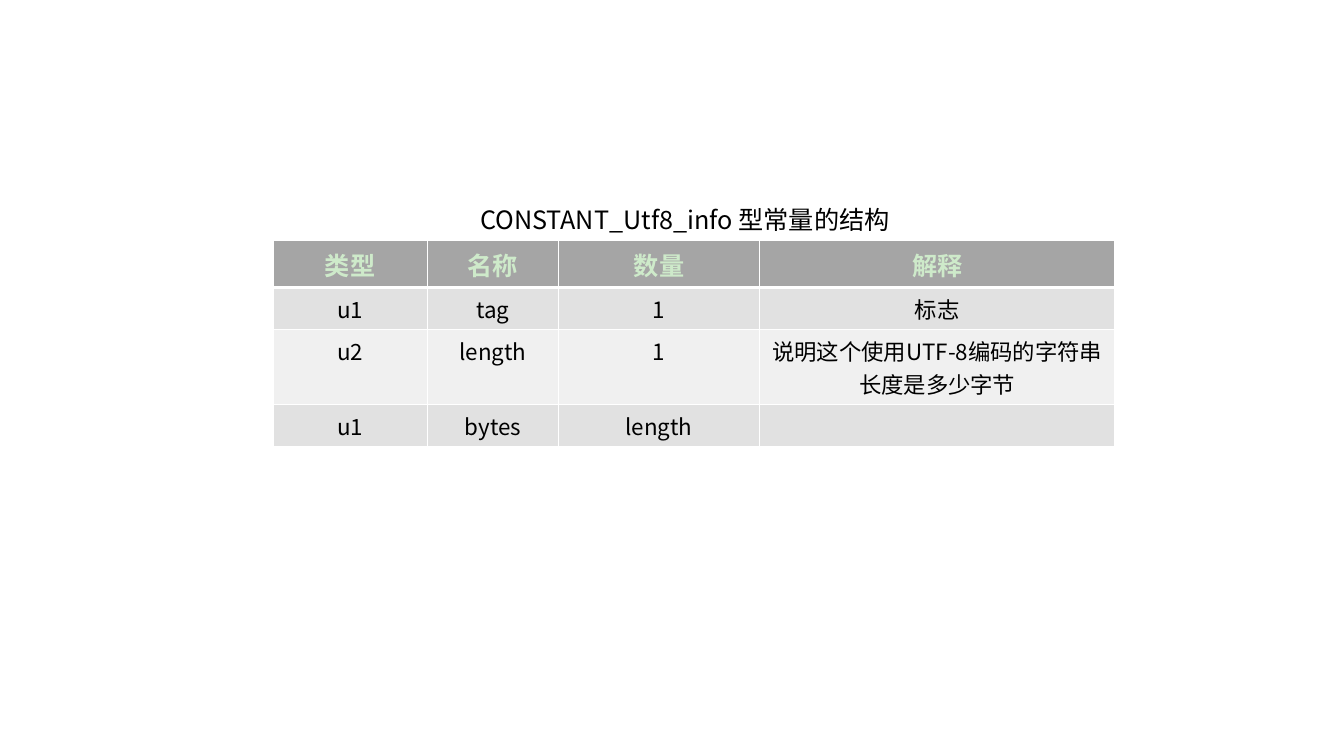
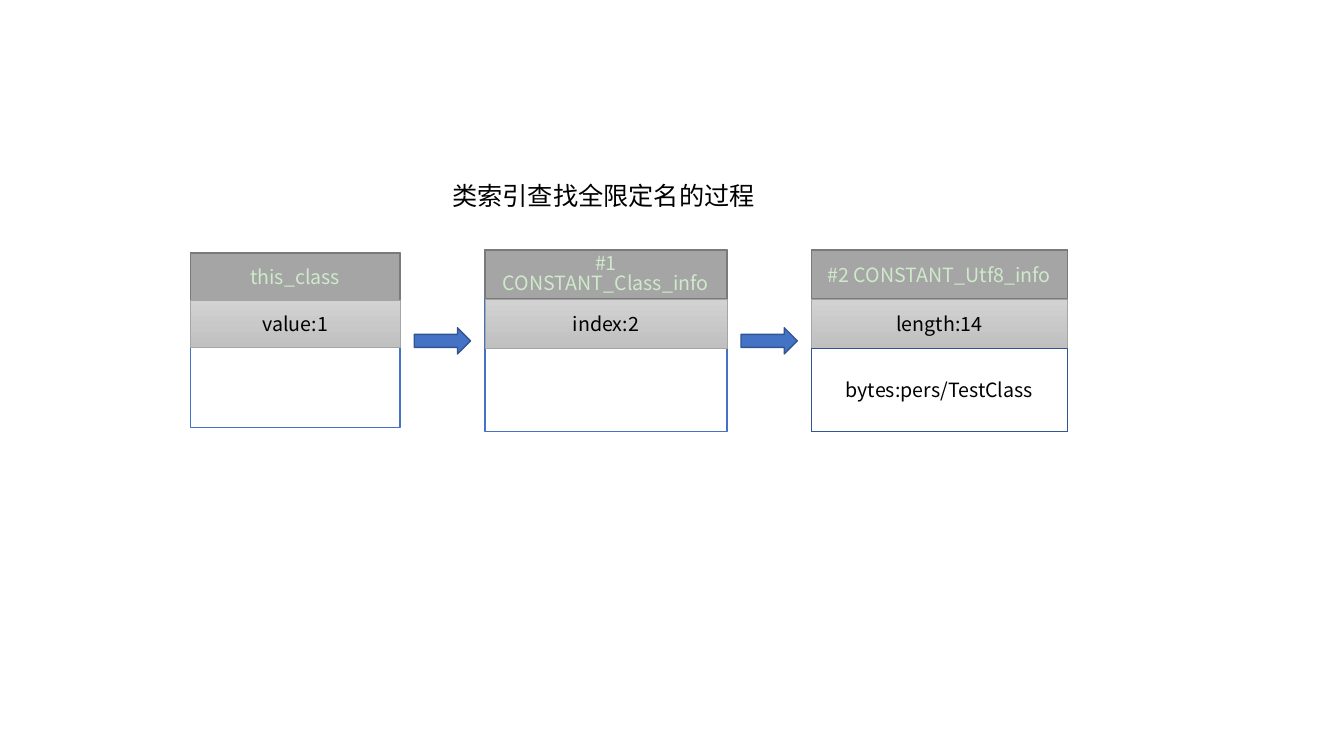
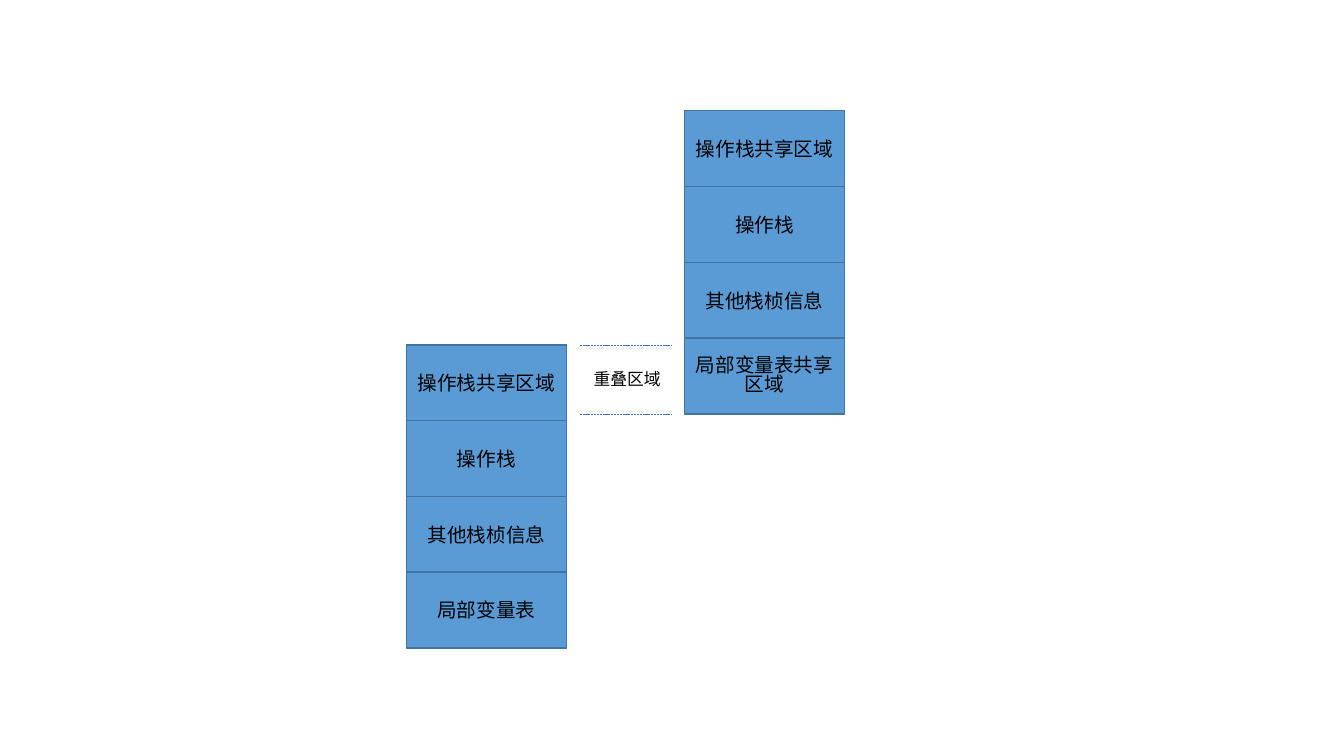
from dataclasses import dataclass

from lxml import etree
from pptx import Presentation
from pptx.dml.color import RGBColor
from pptx.enum.dml import MSO_LINE
from pptx.enum.shapes import MSO_CONNECTOR, MSO_SHAPE
from pptx.enum.text import MSO_ANCHOR, PP_ALIGN
from pptx.oxml.ns import qn
from pptx.util import Cm, Pt

RECTANGLE, RIGHT_ARROW = MSO_SHAPE.RECTANGLE, MSO_SHAPE.RIGHT_ARROW
STRAIGHT, DASH = MSO_CONNECTOR.STRAIGHT, MSO_LINE.SQUARE_DOT
LEFT, CENTER = PP_ALIGN.LEFT, PP_ALIGN.CENTER
MIDDLE = MSO_ANCHOR.MIDDLE
BLANK_LAYOUT = 6


@dataclass(frozen=True)
class Theme:
    font: str = "Noto Sans CJK SC"
    text: str = "000000"
    pale_green: str = "CEEACA"
    border: str = "FFFFFF"
    gray: str = "A5A5A5"
    dark_gray: str = "7A7A7A"
    gradient: tuple = ("D2D2D2", "C0C0C0")
    bands: tuple = ("E1E1E1", "F0F0F0")
    blue: str = "4472C4"
    dark_blue: str = "325491"
    frame_fill: str = "5B9BD5"
    frame_line: str = "43739E"
    title_size: int = 18
    cell_size: int = 16
    box_size: int = 14
    note_size: int = 12
    tight_spacing: float = 0.83


THEME = Theme()


def color(value):
    return RGBColor.from_string(value)


def write(text_frame, text, size, text_color=THEME.text, align=CENTER, bold=False, spacing=None):
    paragraph = text_frame.paragraphs[0]
    paragraph.alignment = align
    paragraph.line_spacing = spacing
    run = paragraph.add_run()
    run.text = text
    formats = {"name": THEME.font, "size": Pt(size), "bold": bold}
    for name, value in formats.items():
        setattr(run.font, name, value)
    run.font.color.rgb = color(text_color)
    east_asian = etree.SubElement(run.font._element, qn("a:ea"))
    east_asian.set("typeface", THEME.font)


def add_label(slide, text, left, top, width, height, size=THEME.title_size, align=CENTER, wrap=True):
    text_frame = slide.shapes.add_textbox(Cm(left), Cm(top), Cm(width), Cm(height)).text_frame
    text_frame.word_wrap = wrap
    write(text_frame, text, size, align=align)


def add_box(shapes, left, top, width, height, fill, line, text="", kind=RECTANGLE,
            line_width=1, text_color=THEME.text, spacing=None):
    """Fill is a colour, a pair of colours for a vertical gradient, or None."""
    shape = shapes.add_shape(kind, Cm(left), Cm(top), Cm(width), Cm(height))
    shape.shadow.inherit = False
    if fill is None:
        shape.fill.background()
    elif isinstance(fill, tuple):
        shape.fill.gradient()
        shape.fill.gradient_angle = 270
        for position, (stop, value) in enumerate(zip(shape.fill.gradient_stops, fill)):
            stop.position = position
            stop.color.rgb = color(value)
    else:
        shape.fill.solid()
        shape.fill.fore_color.rgb = color(fill)
    shape.line.color.rgb = color(line)
    shape.line.width = Pt(line_width)
    if text:
        shape.text_frame.word_wrap = True
        shape.text_frame.vertical_anchor = MIDDLE
        write(shape.text_frame, text, THEME.box_size, text_color, spacing=spacing)


def add_dashed_line(slide, start, end, top):
    line = slide.shapes.add_connector(STRAIGHT, Cm(start), Cm(top), Cm(end), Cm(top))
    line.line.color.rgb = color(THEME.blue)
    line.line.width = Pt(0.5)
    line.line.dash_style = DASH
    etree.SubElement(line._element.spPr, qn("a:effectLst"))


def set_borders(cell, widths):
    """Widths are points for the left, right, top and bottom edges."""
    properties = cell._tc.get_or_add_tcPr()
    for index, (edge, width) in enumerate(zip("LRTB", widths)):
        border = etree.Element(qn(f"a:ln{edge}"), w=str(Pt(width)))
        fill = etree.SubElement(border, qn("a:solidFill"))
        etree.SubElement(fill, qn("a:srgbClr"), val=THEME.border)
        properties.insert(index, border)


def add_table(slide, rows, left, top, column_widths, row_height):
    table = slide.shapes.add_table(
        len(rows), len(column_widths), Cm(left), Cm(top),
        Cm(sum(column_widths)), Cm(row_height * len(rows))).table
    for column, width in zip(table.columns, column_widths):
        column.width = Cm(width)
    for row_index, texts in enumerate(rows):
        header = row_index == 0
        fill = THEME.gray if header else THEME.bands[(row_index - 1) % 2]
        size = THEME.title_size if header else THEME.cell_size
        text_color = THEME.pale_green if header else THEME.text
        widths = (1, 1, 3 if row_index == 1 else 1, 3 if header else 1)
        for column_index, text in enumerate(texts):
            cell = table.cell(row_index, column_index)
            cell.fill.solid()
            cell.fill.fore_color.rgb = color(fill)
            set_borders(cell, widths)
            write(cell.text_frame, text, size, text_color, bold=header)


def add_card(slide, left, top, width, height, row_height, heading, value, body="", spacing=None):
    shapes = slide.shapes.add_group_shape().shapes
    add_box(shapes, left, top, width, height, None, THEME.blue)
    add_box(shapes, left, top, width, row_height, THEME.gray, THEME.dark_gray, heading,
            text_color=THEME.pale_green, spacing=spacing)
    add_box(shapes, left, top + row_height, width, row_height, THEME.gradient, THEME.gray,
            value, line_width=0.5)
    if body:
        used = 2 * row_height
        add_box(shapes, left, top + used, width, height - used, None, THEME.dark_blue, body)


def add_stack(slide, left, top, width, height, labels):
    for index, (text, spacing) in enumerate(labels):
        add_box(slide.shapes, left, top + index * height, width, height,
                THEME.frame_fill, THEME.frame_line, text, spacing=spacing)


def build_constant_table(slide):
    rows = [
        ("类型", "名称", "数量", "解释"),
        ("u1", "tag", "1", "标志"),
        ("u2", "length", "1", "说明这个使用UTF-8编码的字符串长度是多少字节"),
        ("u1", "bytes", "length", ""),
    ]
    add_table(slide, rows, 6.88, 6.07, (3.89, 3.3, 5.08, 8.94), 0.94)
    add_label(slide, "CONSTANT_Utf8_info 型常量的结构", 8.79, 5.03, 16.94, 1.02)


def build_class_lookup(slide):
    cards = [
        (4.8, 6.38, 5.28, 4.39, 1.19, "this_class", "value:1"),
        (12.22, 6.3, 6.1, 4.57, 1.24, "#1 CONSTANT_Class_info", "index:2", "", THEME.tight_spacing),
        (20.45, 6.3, 6.45, 4.57, 1.24, "#2 CONSTANT_Utf8_info", "length:14", "bytes:pers/TestClass"),
    ]
    for card in cards:
        add_card(slide, *card)
    arrow_width = 1.42
    for before, after in zip(cards, cards[1:]):
        gap_center = (before[0] + before[2] + after[0]) / 2
        add_box(slide.shapes, gap_center - arrow_width / 2, 8.26, arrow_width, 0.66,
                THEME.blue, THEME.dark_blue, kind=RIGHT_ARROW)
    add_label(slide, "类索引查找全限定名的过程", 11.15, 4.42, 8.74, 1.02, align=LEFT)


def build_stack_overlap(slide):
    width, height = 4.04, 1.91
    lower_top, upper_top = 8.69, 2.79
    shared = [("操作栈共享区域", None), ("操作栈", None), ("其他栈桢信息", None)]
    lower = shared + [("局部变量表", None)]
    upper = shared + [("局部变量表共享区域", THEME.tight_spacing)]
    add_stack(slide, 10.24, lower_top, width, height, lower)
    add_stack(slide, 17.25, upper_top, width, height, upper)
    for top in (lower_top, upper_top + len(upper) * height):
        add_dashed_line(slide, 14.61, 16.94, top)
    add_label(slide, "重叠区域", 14.71, 9.17, 2.24, 0.76, THEME.note_size, LEFT, wrap=False)


def main():
    presentation = Presentation()
    presentation.slide_width = Cm(33.87)
    presentation.slide_height = Cm(19.05)
    for build in (build_constant_table, build_class_lookup, build_stack_overlap):
        build(presentation.slides.add_slide(presentation.slide_layouts[BLANK_LAYOUT]))
    presentation.save("out.pptx")


if __name__ == "__main__":
    main()
